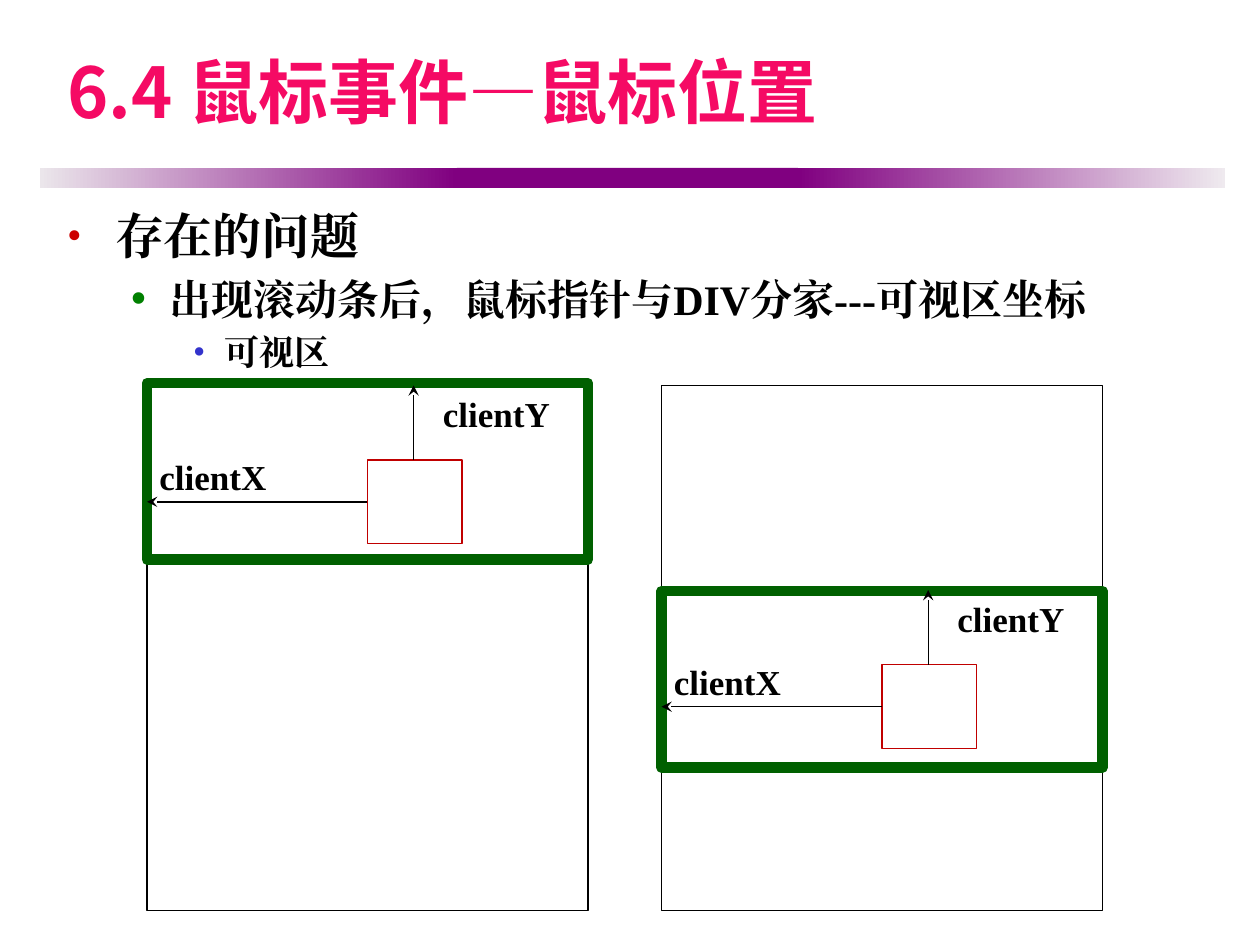
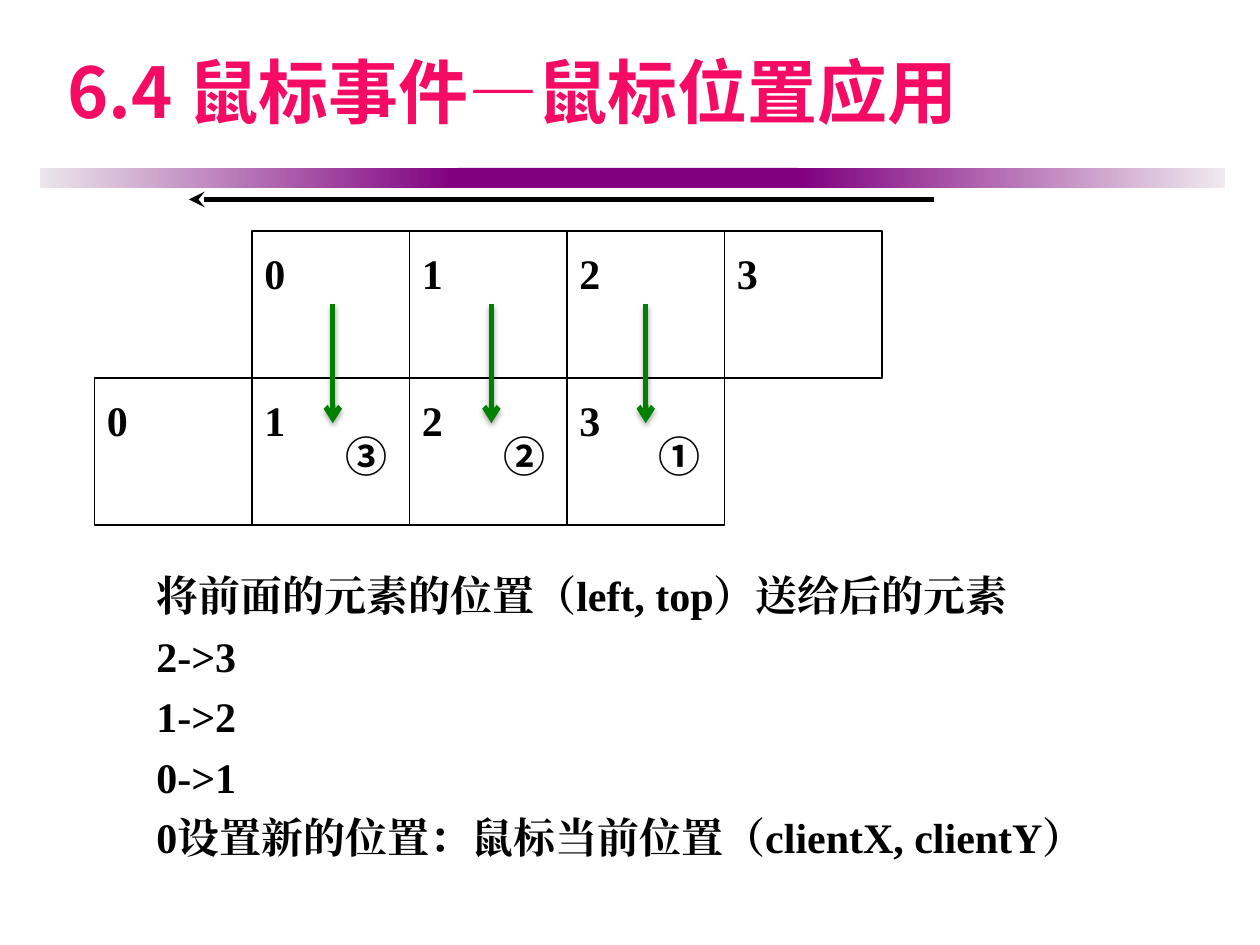
from lxml.etree import SubElement
from pptx import Presentation
from pptx.dml.color import RGBColor
from pptx.enum.shapes import MSO_CONNECTOR, MSO_SHAPE
from pptx.enum.text import MSO_ANCHOR, MSO_AUTO_SIZE, PP_ALIGN
from pptx.oxml.ns import qn
from pptx.util import Inches, Pt

# Grid: 120 columns by 90 rows of square cells
WIDTH, HEIGHT = Inches(10), Inches(7.5)
CELL = WIDTH / 120

# Shared look
SERIF, SANS = "Times New Roman", "Noto Sans CJK SC"
BLACK, PINK, PURPLE = "000000", "F50A64", "800080"
GREEN, DARK_GREEN, RED = "008000", "006000", "C00000"
THIN, BOLD_LINE, FRAME = 0.75, 3, 6
BAND = [  # left, width, colours
    (3.8, 39.7, ["EBE6EB", PURPLE]),
    (43.5, 32.5, [PURPLE]),
    (76, 40.7, [PURPLE, "EFEAEF"]),
]
FRAME_FORMAT = dict(word_wrap=True, auto_size=MSO_AUTO_SIZE.NONE,
                    vertical_anchor=MSO_ANCHOR.TOP)
LINE_FORMAT = dict(alignment=PP_ALIGN.LEFT, line_spacing=1.2)
LEVELS = [  # size, left indent, hanging indent, bullet colour, bullet size
    (28, 0.38, 0.38, "CC0000", 85),
    (24, 0.81, 0.31, GREEN, 115),
    (20, 1.25, 0.25, "3333CC", 100),
]


def cells(*counts):
    return [round(count * CELL) for count in counts]


def color(hex_value):
    return RGBColor.from_string(hex_value)


def apply(target, values):
    for name, value in values.items():
        setattr(target, name, value)


def write(paragraph, text, size, face=SERIF, hue=BLACK, **line_format):
    apply(paragraph, {**LINE_FORMAT, **line_format})
    run = paragraph.add_run()
    run.text = text
    apply(run.font, dict(size=Pt(size), bold=True, name=face))
    run.font.color.rgb = color(hue)
    SubElement(run.font._element, qn("a:ea"), typeface=face)


def add_text(slide, box, lines, size, face=SERIF):
    frame = slide.shapes.add_textbox(*cells(*box)).text_frame
    apply(frame, FRAME_FORMAT)
    for index, line in enumerate(lines):
        paragraph = frame.add_paragraph() if index else frame.paragraphs[0]
        write(paragraph, line, size, face)


def add_box(slide, box, hue=BLACK, weight=THIN, label=None):
    outline = slide.shapes.add_shape(MSO_SHAPE.RECTANGLE, *cells(*box))
    outline.shadow.inherit = False
    outline.fill.background()
    outline.line.color.rgb = color(hue)
    outline.line.width = Pt(weight)
    if label:
        apply(outline.text_frame, FRAME_FORMAT)
        write(outline.text_frame.paragraphs[0], label, 24)


def add_arrow(slide, start, end, hue=BLACK, weight=THIN, head="stealth",
              shadow=False):
    arrow = slide.shapes.add_connector(MSO_CONNECTOR.STRAIGHT,
                                       *cells(*start, *end))
    arrow.line.color.rgb = color(hue)
    arrow.line.width = Pt(weight)
    SubElement(arrow.line._get_or_add_ln(), qn("a:tailEnd"), type=head)
    effects = SubElement(arrow._element.spPr, qn("a:effectLst"))
    if shadow:
        outer = SubElement(effects, qn("a:outerShdw"), blurRad=str(Pt(3.1)),
                           dist=str(Pt(1.8)), dir="5400000", rotWithShape="0")
        tone = SubElement(outer, qn("a:srgbClr"), val=BLACK)
        SubElement(tone, qn("a:alpha"), val="35000")


def add_band(slide):
    for left, width, hues in BAND:
        part = slide.shapes.add_shape(MSO_SHAPE.RECTANGLE,
                                      *cells(left, 16, width, 1.9))
        part.shadow.inherit = False
        part.line.fill.background()
        if len(hues) == 1:
            part.fill.solid()
            part.fill.fore_color.rgb = color(hues[0])
            continue
        part.fill.gradient()
        part.fill.gradient_angle = 0
        for stop, position, hue in zip(part.fill.gradient_stops, (0, 1), hues):
            stop.position = position
            stop.color.rgb = color(hue)


def place(placeholder, box):
    apply(placeholder, dict(zip(("left", "top", "width", "height"),
                                cells(*box))))


def start_slide(deck, layout, heading):
    slide = deck.slides.add_slide(deck.slide_layouts.get_by_name(layout))
    add_band(slide)
    title = slide.shapes.title
    place(title, (5.2, 2, 108.7, 13.3))
    apply(title.text_frame,
          {**FRAME_FORMAT, "vertical_anchor": MSO_ANCHOR.MIDDLE})
    write(title.text_frame.paragraphs[0], heading, 40, SANS, PINK,
          line_spacing=1.0)
    return slide


def fill_outline(body, lines):
    place(body, (5.2, 19, 110.5, 19))
    frame = body.text_frame
    apply(frame, FRAME_FORMAT)
    for level, (line, style) in enumerate(zip(lines, LEVELS)):
        size, indent, hanging, bullet_hue, bullet_size = style
        paragraph = frame.add_paragraph() if level else frame.paragraphs[0]
        write(paragraph, line, size, level=level, line_spacing=1.0,
              space_before=Pt(size * 0.2))
        props = paragraph._p.get_or_add_pPr()
        props.set("marL", str(Inches(indent)))
        props.set("indent", str(-Inches(hanging)))
        SubElement(SubElement(props, qn("a:buClr")), qn("a:srgbClr"),
                   val=bullet_hue)
        SubElement(props, qn("a:buSzPct"), val=str(bullet_size * 1000))
        SubElement(props, qn("a:buFont"), typeface=SERIF)
        SubElement(props, qn("a:buChar"), char="•")


def draw_page(slide, left, viewport_top, div_top):
    """A long page, its visible area and the distances of a DIV in it."""
    add_box(slide, (left, 36.7, 42, 50))
    add_box(slide, (left, viewport_top, 42, 16.8), DARK_GREEN, FRAME)
    add_box(slide, (left + 21, div_top, 9, 8), RED)
    add_arrow(slide, (left + 25.4, div_top), (left + 25.4, div_top - 7.1))
    add_text(slide, (left + 27, div_top - 7.8, 15, 6), ["clientY"], 20)
    add_arrow(slide, (left + 21, div_top + 4), (left, div_top + 4))
    add_text(slide, (left, div_top - 1.8, 15, 5.6), ["clientX"], 20)


def draw_queue(slide, left, top):
    for number in range(4):
        add_box(slide, (left + 15 * number, top, 15, 14), label=str(number))


def draw_handover(slide, left, step):
    """One element takes over the position of the element before it."""
    add_arrow(slide, (left, 29), (left, 40.3), GREEN, BOLD_LINE, "arrow", True)
    add_text(slide, (left, 39.5, 6.5, 6.5), [step], 24, SANS)


def main():
    deck = Presentation()
    apply(deck, dict(slide_width=WIDTH, slide_height=HEIGHT))

    # Visible area before and after scrolling
    problem = start_slide(deck, "Title and Content", "6.4 鼠标事件—鼠标位置")
    fill_outline(problem.placeholders[1], [
        "存在的问题",
        "出现滚动条后，鼠标指针与DIV分家---可视区坐标",
        "可视区",
    ])
    draw_page(problem, 14, 36.5, 43.8)
    draw_page(problem, 63, 56.3, 63.3)

    # Chain of elements following the pointer
    chain = start_slide(deck, "Title Only", "6.4 鼠标事件—鼠标位置应用")
    draw_queue(chain, 24, 22)
    draw_queue(chain, 9, 36)
    add_arrow(chain, (89, 19), (18, 19), weight=BOLD_LINE)
    add_text(chain, (13.7, 52.7, 94.9, 30.2), [
        "将前面的元素的位置（left, top）送给后的元素",
        "2->3",
        "1->2",
        "0->1",
        "0设置新的位置：鼠标当前位置（clientX, clientY）",
    ], 24)
    for left, step in ((61.5, "①"), (46.8, "②"), (31.7, "③")):
        draw_handover(chain, left, step)

    deck.save("out.pptx")


if __name__ == "__main__":
    main()
